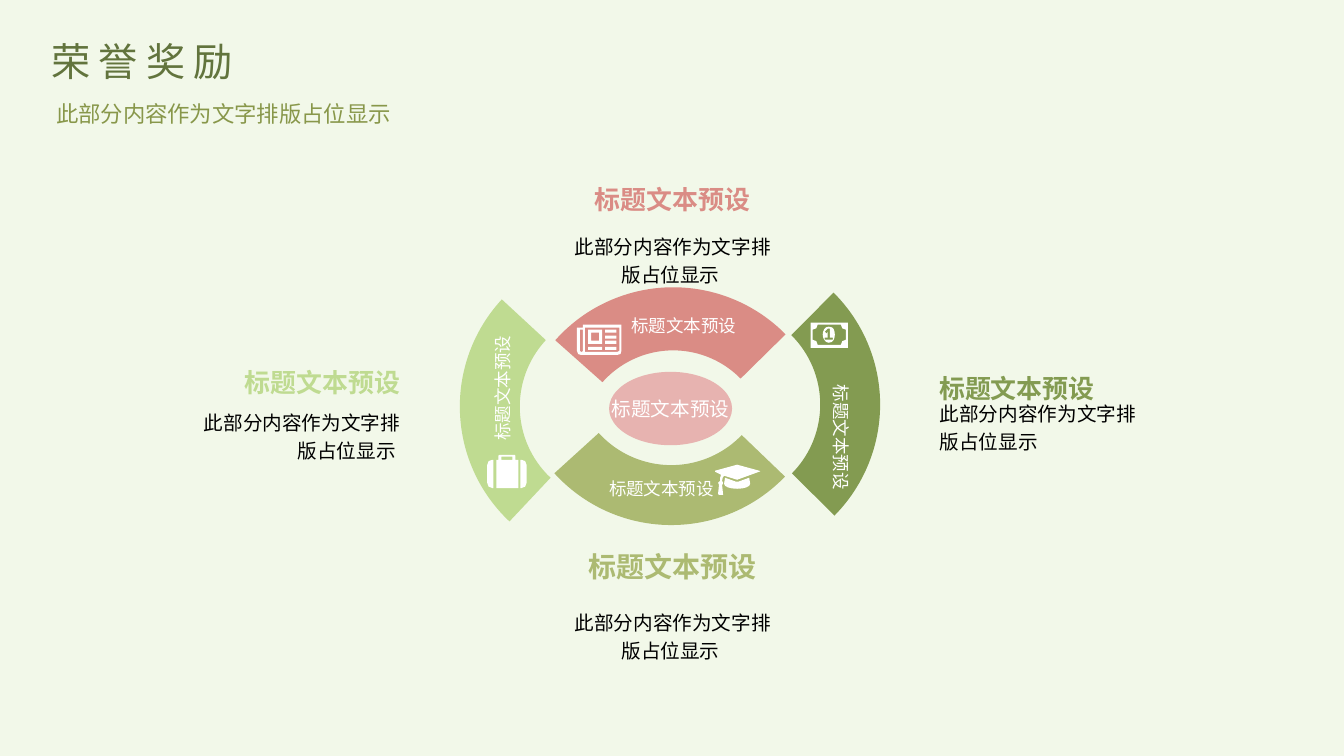
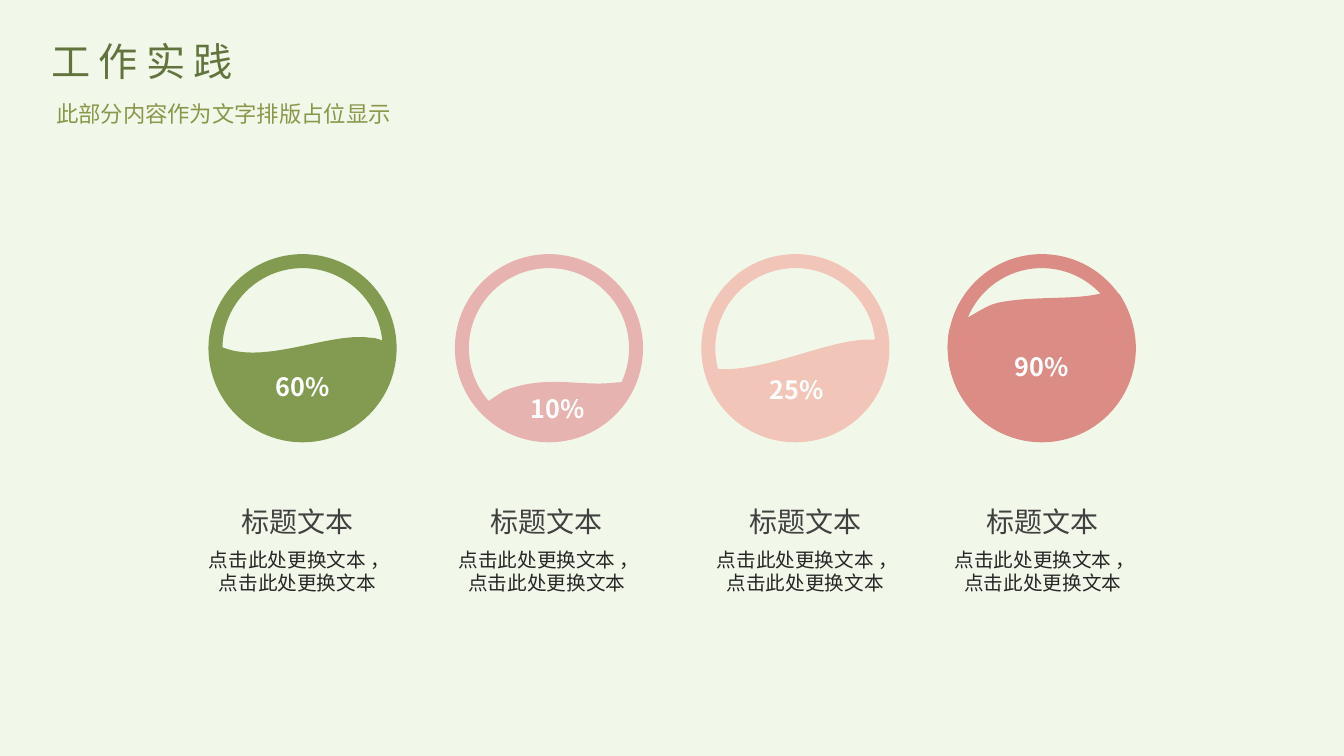
from lxml import etree
from pptx import Presentation
from pptx.dml.color import RGBColor
from pptx.enum.shapes import MSO_SHAPE
from pptx.enum.text import MSO_ANCHOR, PP_ALIGN
from pptx.oxml.ns import qn
from pptx.util import Cm, Pt

ARC, OVAL = MSO_SHAPE.BLOCK_ARC, MSO_SHAPE.OVAL
LEFT, MID, RIGHT = PP_ALIGN.LEFT, PP_ALIGN.CENTER, PP_ALIGN.RIGHT
TOP, CENTER, BOTTOM = MSO_ANCHOR.TOP, MSO_ANCHOR.MIDDLE, MSO_ANCHOR.BOTTOM

FONT = "Noto Sans CJK SC"
PAPER, WHITE, BLACK = "F2F8E9", "FFFFFF", "000000"
TITLE, SUB, HEAD, BODY = "62743D", "88974A", "404040", "262626"
GREEN, OLIVE, LIME = "839B51", "ACBA72", "BFDB91"
RED, PINK, PEACH = "DA8C85", "E7B3B0", "F1C6B9"

PAD = (0.25, 0.13, 0.25, 0.13)
FLUSH = (0, 0, 0, 0)
LABEL = "标题文本预设"
FILLER = "此部分内容作为文字排版占位显示"


def bar(x, y, w, h):
    return [(x, y), (x + w, y), (x + w, y + h), (x, y + h)]


# Outlines: a pair is a corner, six numbers are a Bézier curve.
NEWS = [
    [(44, 26), (44, 29, 43, 30, 40, 30), (4, 30), (2, 30, 0, 29, 0, 26),
     (0, 3), (6, 3), (6, 0), (44, 0)],
    [(6, 5), (3, 5), (3, 26), (3, 27, 4, 27, 4, 27), (5, 27, 6, 27, 6, 26)],
    [(42, 3), (8, 3), (8, 27), (40, 27), (42, 26)],
    bar(11, 5, 14, 14), bar(14, 8, 8, 8), bar(11, 22, 14, 3),
    *[bar(28, y, 11, 3) for y in (5, 11, 16, 22)],
]
CAP = [
    [(44, 7), (22, 15), (9, 11), (8, 12, 7, 14, 7, 16), (8, 18),
     (8, 19, 8, 20, 7, 20), (8, 29), (8, 30), (4, 30), (3, 29), (4, 20),
     (3, 18), (3, 17, 4, 17, 5, 16), (5, 14, 5, 12, 6, 10), (0, 7), (0, 6),
     (22, 0), (44, 6), (45, 7)],
    [(35, 19), (35, 22, 29, 24, 22, 24), (15, 24, 9, 22, 9, 19), (10, 13),
     (21, 17), (23, 17), (34, 13)],
]
CASH = [
    bar(0, 0, 37, 25),
    [(35, 7), (32, 7, 30, 5, 30, 2), (7, 2), (7, 5, 5, 7, 2, 7), (2, 17),
     (5, 17, 7, 19, 7, 22), (30, 22), (30, 19, 32, 17, 35, 17)],
    [(18, 20), (14, 20, 12, 15, 12, 12), (12, 8, 14, 4, 18, 4),
     (23, 4, 24, 8, 24, 12), (24, 15, 23, 20, 18, 20)],
    [(22, 17), (22, 15), (19, 15), (19, 6), (17, 6), (14, 9), (16, 11),
     (17, 9), (17, 15), (14, 15), (14, 17)],
]
CASE = [
    [(6, 33), (5, 33), (2, 33, 0, 31, 0, 28), (0, 10), (0, 7, 2, 5, 5, 5),
     (6, 5)],
    [(31, 33), (9, 33), (9, 5), (11, 5), (11, 1), (11, 0, 13, 0, 14, 0),
     (26, 0), (27, 0, 28, 0, 28, 1), (28, 5), (31, 5)],
    bar(14, 2, 11, 3),
    [(39, 28), (39, 31, 37, 33, 34, 33), (33, 33), (33, 5), (34, 5),
     (37, 5, 39, 7, 39, 10)],
]

# Offset in the wheel, turn, block arc adjustments, colour
ARCS = [
    (1.35, 0, 224.8, (107.42, 163.79, 0.19), OLIVE),
    (2.64, 0.94, 134.8, (108, 161.95, 0.19), GREEN),
    (0, 0.99, 307.3, (111.58, 165.3, 0.19), LIME),
    (1.4, 1.96, 39.6, (109.2, 165.5, 0.2), RED),
]
# Icon, its offset and width, then offset and turn of its label
SIGNS = [
    (NEWS, 2.95, 2.9, 1.12, 4.07, 2.54, 0),
    (CAP, 6.43, 6.43, 1.14, 3.51, 6.63, 0),
    (CASH, 8.84, 2.85, 0.94, 7.98, 5.54, 90),
    (CASE, 0.69, 6.18, 0.99, -0.68, 4.04, 270),
]
# Heading box, size, colour, anchor, padding; body box, anchor, padding; align
NOTES = [
    ((5.58, 9.32, 6, 0.71), 18.5, LIME, BOTTOM, (0, 0, 1.5, 0),
     (4.48, 10.1, 7.11, 1.24), TOP, (0.25, 0.13, 1.5, 0.13), RIGHT),
    ((22.17, 9.42, 6.2, 0.71), 18.5, GREEN, CENTER, (1.5, 0, 0.61, 0),
     (22.18, 10.1, 7.21, 1.24), CENTER, (1.5, 0.13, 0.61, 0.13), LEFT),
    ((14.75, 4.67, 4.4, 0.71), 18.5, RED, CENTER, FLUSH,
     (14.25, 5.79, 5.41, 2.03), TOP, FLUSH, MID),
    ((14.43, 13.63, 5.05, 1.07), 20, OLIVE, BOTTOM, FLUSH,
     (14.25, 15.27, 5.41, 1.5), TOP, FLUSH, MID),
]
# Share, colour, rim of the wave in points, left of the caption, wave
GAUGES = [
    ("60%", GREEN, 0, 4.83,
     [(173, 83), (174, 115, 157, 144, 130, 160), (116, 168, 101, 173, 86, 173),
      (71, 172, 56, 168, 42, 160), (15, 144, -1, 114, 0, 82),
      (42, 107, 111, 70, 153, 76), (161, 76, 167, 79, 173, 83)]),
    ("10%", PINK, 10, 11.12,
     [(160, 127), (158, 133), (146, 152, 120, 166, 89, 166),
      (68, 166, 50, 160, 36, 150), (30, 145), (45, 135),
      (83, 120, 116, 131, 148, 128)]),
    ("25%", PEACH, 0, 17.63,
     [(166, 78), (173, 79), (175, 86), (173, 139, 114, 170, 86, 176),
      (58, 181, 22, 153, 5, 119), (0, 105), (8, 107),
      (59, 111, 122, 75, 166, 78)]),
    ("90%", RED, 10, 23.62,
     [(158, 37), (167, 51, 172, 68, 172, 86), (172, 133, 134, 172, 86, 172),
      (38, 172, 0, 133, 0, 86), (0, 80, 0, 74, 2, 68),
      (16, 65, 31, 51, 45, 48), (76, 42, 107, 45, 136, 41)]),
]


def paint(fmt, color):
    """Give a fill one colour, or none."""
    if color:
        fmt.solid()
        fmt.fore_color.rgb = RGBColor.from_string(color)
    else:
        fmt.background()


def dress(shape, fill=None, line=None, width=10):
    shape.shadow.inherit = False
    paint(shape.fill, fill)
    paint(shape.line.fill, line)
    if line:
        shape.line.width = Pt(width)
        edge = shape._element.spPr.find(qn("a:ln"))
        etree.SubElement(edge, qn("a:round"))


def write(shape, words, size, color, align=LEFT, anchor=TOP, pad=PAD,
          bold=False, wrap=True, lead=None, space=0):
    frame = shape.text_frame
    frame.text = words
    frame.word_wrap = wrap
    frame.vertical_anchor = anchor
    (frame.margin_left, frame.margin_top,
     frame.margin_right, frame.margin_bottom) = map(Cm, pad)
    para = frame.paragraphs[0]
    para.alignment = align
    if lead:
        para.line_spacing = lead
    run = para.runs[0]
    run.font.size = Pt(size)
    run.font.bold = bold
    run.font.name = FONT
    paint(run.font.fill, color)
    props = run._r.get_or_add_rPr()
    etree.SubElement(props, qn("a:ea")).set("typeface", FONT)
    if space:
        props.set("spc", str(space * 100))


def label(slide, box, words, size, color, **style):
    shape = slide.shapes.add_textbox(*map(Cm, box))
    write(shape, words, size, color, **style)
    return shape


def bend(shape, parts):
    """Turn the straight segments that have control points into curves."""
    for seg, part in zip(list(shape._element.iter(qn("a:lnTo"))), parts):
        if len(part) == 1:
            continue
        seg.tag = qn("a:cubicBezTo")
        for n, (x, y) in enumerate(part[:2]):
            pt = etree.Element(qn("a:pt"))
            pt.set("x", str(round(x - shape.left)))
            pt.set("y", str(round(y - shape.top)))
            seg.insert(n, pt)


def draw(slide, x, y, unit, outlines):
    """Draw outlines, given in units from x and y, as one shape."""
    pen, parts = None, []
    for outline in outlines:
        items = [[(Cm(x) + item[n] * unit, Cm(y) + item[n + 1] * unit)
                  for n in range(0, len(item), 2)] for item in outline]
        ends = [item[-1] for item in items]
        if pen is None:
            pen = slide.shapes.build_freeform(*ends[0])
        else:
            pen.move_to(*ends[0])
        pen.add_line_segments(ends[1:], close=True)
        parts += items[1:]
    shape = pen.convert_to_shape()
    bend(shape, parts)
    return shape


def icon(slide, x, y, width, outlines):
    span = max(item[-2] for outline in outlines for item in outline)
    dress(draw(slide, x, y, Cm(width) / span, outlines), WHITE)


def wheel(slide, x, y):
    for dx, dy, turn, adjust, color in ARCS:
        arc = slide.shapes.add_shape(ARC, Cm(x + dx), Cm(y + dy), Cm(7.95), Cm(7.95))
        for n, value in enumerate(adjust):
            arc.adjustments[n] = value
        arc.rotation = turn
        dress(arc, color)
    hub = slide.shapes.add_shape(OVAL, Cm(x + 3.76), Cm(y + 4.09), Cm(3.1), Cm(1.85))
    dress(hub, PINK)
    write(hub, LABEL, 14, WHITE, align=MID, anchor=CENTER, wrap=False)
    for sign, dx, dy, width, tx, ty, turn in SIGNS:
        icon(slide, x + dx, y + dy, width, sign)
        name = label(slide, (x + tx, y + ty, 3.4, 0.66), LABEL, 12.5, WHITE, wrap=False)
        name.rotation = turn


def note(slide, top, size, color, hold, pad, box, anchor, inset, align):
    words = FILLER if align == LEFT else FILLER + " "
    label(slide, box, words, 14, BLACK, align=align, anchor=anchor, pad=inset, lead=1.2)
    label(slide, top, LABEL, size, color, align=align, anchor=hold, pad=pad,
          bold=True, wrap=False)


def gauge(slide, x, y, size, share, color, rim, wave):
    water = draw(slide, x, y, Cm(size) / 173, [wave])
    dress(water, color, color if rim else None, rim)
    write(water, share, 18, WHITE, align=MID, anchor=CENTER, bold=True)
    ring = slide.shapes.add_shape(OVAL, Cm(x), Cm(y), Cm(size), Cm(size))
    dress(ring, line=color)


def caption(slide, x, y):
    label(slide, (x, y + 1.22, 5.44, 2.69), "点击此处更换文本 ，点击此处更换文本 ",
          14, BODY, align=MID, pad=(0.25, 0, 0.25, 0))
    label(slide, (x + 0.99, y, 3.35, 1.12), "标题文本", 20, HEAD, align=MID, wrap=False)


def start(deck, title):
    """Add a slide with its title and subtitle."""
    slide = deck.slides.add_slide(deck.slide_layouts[6])
    label(slide, (1.04, 0.81, 6.99, 1.45), title, 28, TITLE, space=6)
    label(slide, (1.04, 2.26, 9.07, 1.02), FILLER, 16, SUB, align=RIGHT,
          wrap=False, lead=1.2)
    return slide


def honors(deck):
    slide = start(deck, "荣誉奖励")
    wheel(slide, 11.59, 5.28)
    for item in NOTES:
        note(slide, *item)


def practice(deck):
    slide = start(deck, "工作实践")
    for n, (share, color, rim, left, wave) in enumerate(GAUGES):
        gauge(slide, 5.43 + 6.21 * n, 6.58, 4.39, share, color, rim, wave)
        caption(slide, left, 12.58)


def main():
    deck = Presentation()
    deck.slide_width, deck.slide_height = Cm(33.87), Cm(19.05)
    paint(deck.slide_master.background.fill, PAPER)
    honors(deck)
    practice(deck)
    deck.save("out.pptx")


if __name__ == "__main__":
    main()
